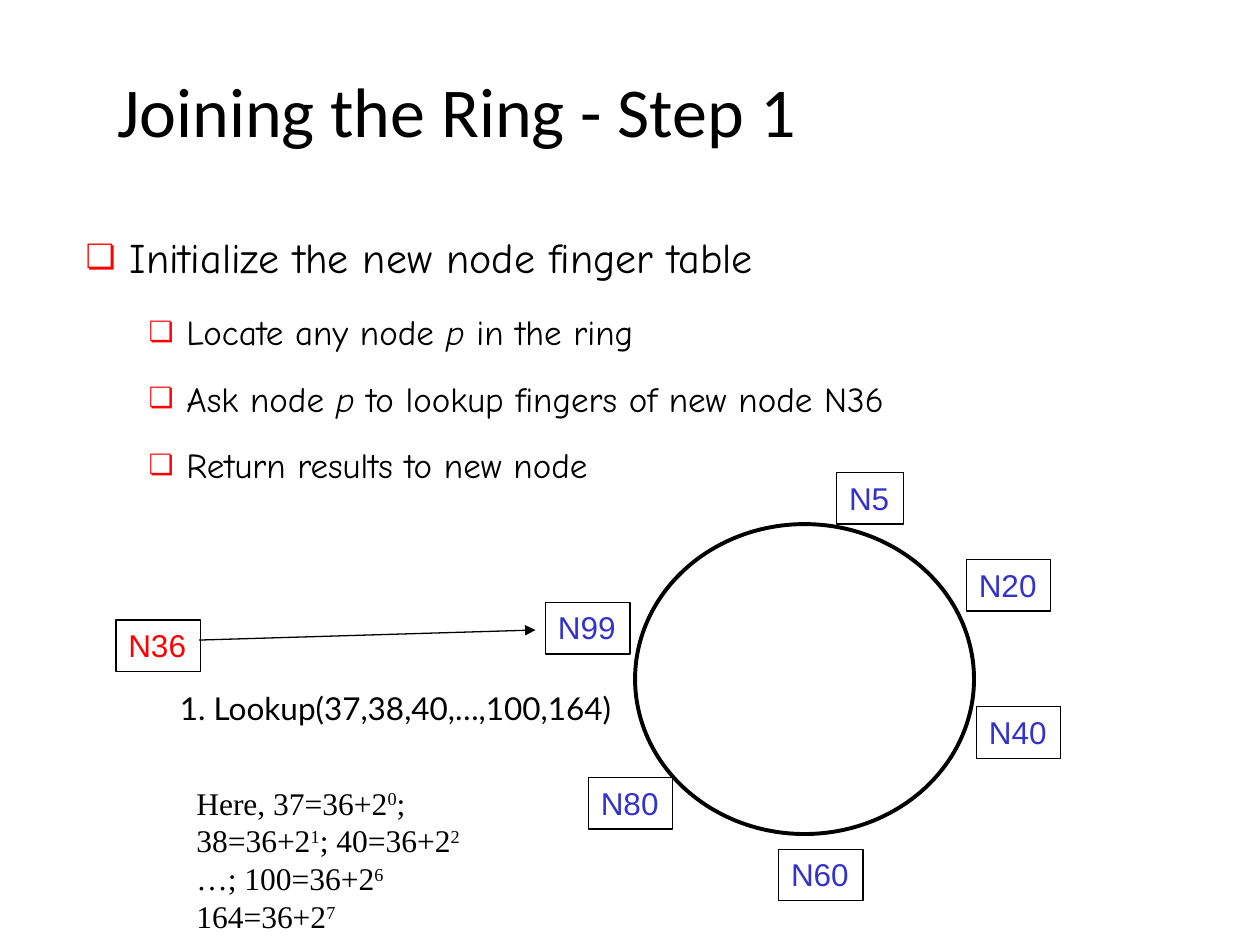
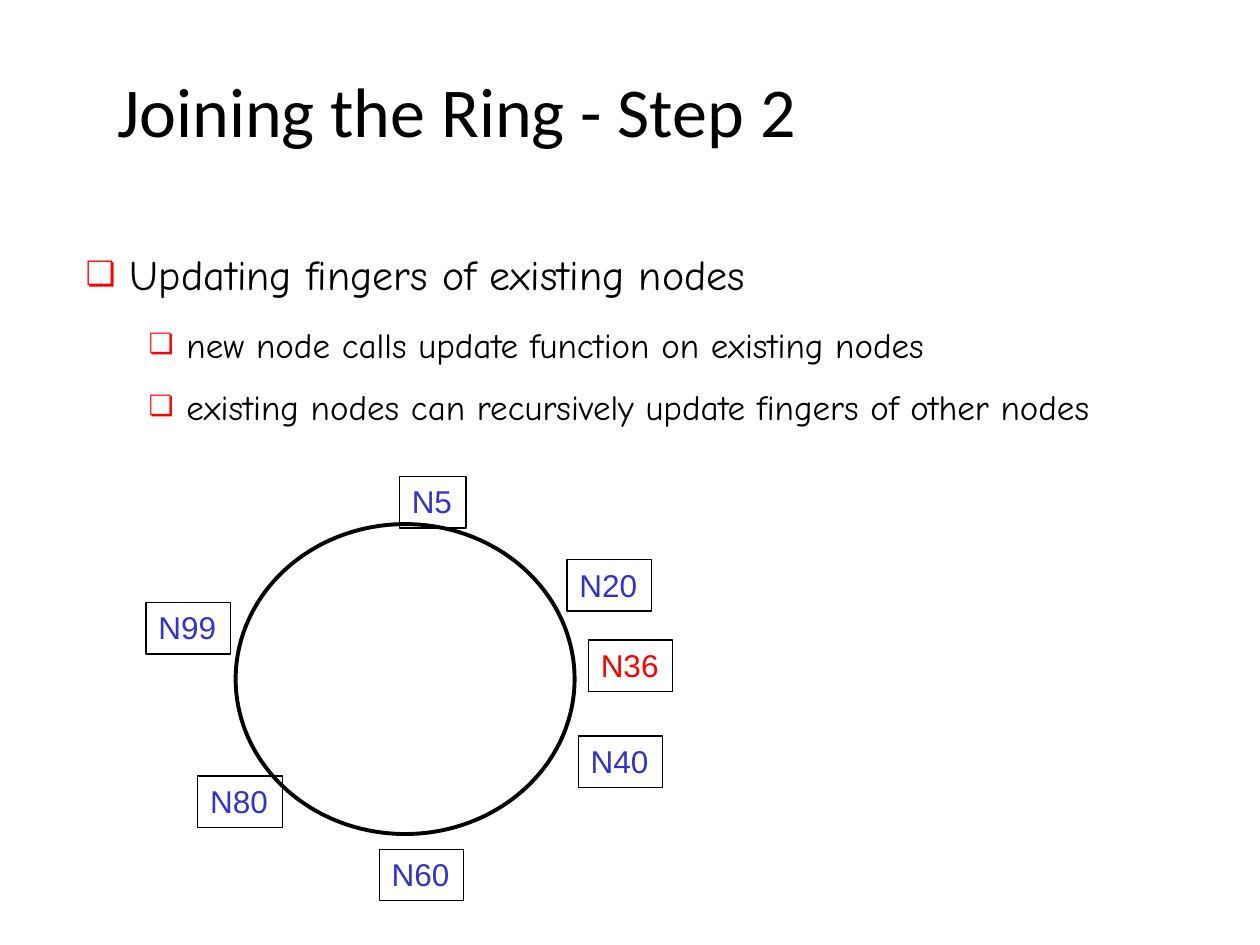
from dataclasses import dataclass
from typing import Optional

import pptx
import pptx.dml.color
import pptx.enum.shapes
import pptx.enum.text
import pptx.oxml
import pptx.oxml.ns
import pptx.presentation
import pptx.shapes.autoshape
import pptx.slide
import pptx.text.text
import pptx.util
from pptx.util import Inches

# Shared style
BLACK = pptx.dml.color.RGBColor(0x00, 0x00, 0x00)
RED = pptx.dml.color.RGBColor(0xFF, 0x00, 0x00)
BLUE = pptx.dml.color.RGBColor(0x33, 0x33, 0xCC)
TITLE_FONT, LIST_FONT, NODE_FONT = "Calibri", "Comic Neue", "Arial"
CALL_FONT, NOTE_FONT = "Lato", "Times New Roman"
LEFT = pptx.enum.text.PP_ALIGN.LEFT
MIDDLE = pptx.enum.text.MSO_ANCHOR.MIDDLE
TOP = pptx.enum.text.MSO_ANCHOR.TOP
SHAPE = pptx.enum.shapes.MSO_SHAPE

RING_TOP, RING_WIDTH, RING_HEIGHT = 4.16, 2.69, 2.46
NODE_HEIGHT = 0.41


@dataclass(frozen=True)
class Level:
    size: float
    bullet_left: float
    hanging: float
    space_after: float


LEVELS = (Level(24, 0, 0.35, 14), Level(20, 0.5, 0.3, 11.5))


@dataclass(frozen=True)
class Node:
    """A ring node; left is measured from the left edge of the ring."""
    label: str
    left: float
    top: float
    color: pptx.dml.color.RGBColor = BLUE

    @property
    def width(self) -> float:
        return 0.53 if len(self.label) == 2 else 0.67


@dataclass(frozen=True)
class Step:
    title: str
    items: tuple[str, ...]  # first is the heading; |p| marks italics
    list_top: float
    list_height: float
    line_spacing: float
    ring_left: float
    nodes: tuple[Node, ...]


# Nodes that keep their place on the ring in both steps
FIXED_NODES = (Node("N60", 1.14, 6.74), Node("N20", 2.63, 4.44), Node("N99", -0.71, 4.78))

JOIN = Step(
    "Joining the Ring - Step 1",
    ("Initialize the new node finger table",
     "Locate any node |p| in the ring",
     "Ask node |p| to lookup fingers of new node N36",
     "Return results to new node"),
    1.75, 2.87, 1.1, 5.04,
    (Node("N36", -4.12, 4.92, RED), Node("N40", 2.71, 5.61),
     Node("N5", 1.6, 3.75), Node("N80", -0.37, 6.17)))
UPDATE = Step(
    "Joining the Ring - Step 2",
    ("Updating fingers of existing nodes",
     "new node calls update function on existing nodes",
     "existing nodes can recursively update fingers of other nodes"),
    1.92, 1.7, 1.0, 1.87,
    (Node("N36", 2.8, 5.08, RED), Node("N40", 2.72, 5.84),
     Node("N5", 1.3, 3.78), Node("N80", -0.3, 6.16)))

FINGER_NOTE = ("Here, 37=36+2|0|; 38=36+2|1|; 40=36+2|2|", "…; 100=36+2|6|", "164=36+2|7|")


def place(shape: pptx.shapes.autoshape.Shape, left: float, top: float,
          width: float, height: float) -> None:
    shape.left, shape.top = Inches(left), Inches(top)
    shape.width, shape.height = Inches(width), Inches(height)


def style(font: pptx.text.text.Font, name: str, size: float,
          color: pptx.dml.color.RGBColor = BLACK) -> None:
    font.name, font.size = name, pptx.util.Pt(size)
    font.color.rgb = color


def add_marked_runs(paragraph: pptx.text.text._Paragraph, text: str, name: str,
                    size: float, superscript: bool = False) -> None:
    """Write text whose |marked| parts are superscript or italic."""
    for index, part in enumerate(text.split("|")):
        if not part:
            continue
        run = paragraph.add_run()
        run.text = part
        style(run.font, name, size)
        if index % 2 and superscript:
            run._r.get_or_add_rPr().set("baseline", "30000")
        elif index % 2:
            run.font.italic = True


def add_bullet(paragraph: pptx.text.text._Paragraph, level: Level) -> None:
    properties = paragraph._p.get_or_add_pPr()
    properties.set("marL", str(Inches(level.bullet_left + level.hanging)))
    properties.set("indent", str(-Inches(level.hanging)))
    namespace = pptx.oxml.ns.nsdecls("a")
    for xml in (f'<a:buClr {namespace}><a:srgbClr val="{RED}"/></a:buClr>',
                f'<a:buSzPct {namespace} val="80000"/>',
                f'<a:buChar {namespace} char="❏"/>'):
        properties.append(pptx.oxml.parse_xml(xml))


def fill_title(slide: pptx.slide.Slide, text: str) -> None:
    title = slide.shapes.title
    place(title, 0.83, 0.33, 8.33, 1.08)
    frame = title.text_frame
    frame.text = text
    frame.vertical_anchor = MIDDLE
    frame.auto_size = pptx.enum.text.MSO_AUTO_SIZE.NONE
    frame.paragraphs[0].alignment = LEFT
    style(frame.paragraphs[0].runs[0].font, TITLE_FONT, 40)


def fill_list(slide: pptx.slide.Slide, step: Step) -> None:
    body = slide.placeholders[1]
    place(body, 0.58, step.list_top, 8.83, step.list_height)
    frame = body.text_frame
    frame.vertical_anchor = TOP
    frame.auto_size = pptx.enum.text.MSO_AUTO_SIZE.NONE
    for index, item in enumerate(step.items):
        paragraph = frame.add_paragraph() if index else frame.paragraphs[0]
        paragraph.level = min(index, 1)
        level = LEVELS[paragraph.level]
        paragraph.line_spacing = step.line_spacing
        paragraph.space_before = pptx.util.Pt(0)
        paragraph.space_after = pptx.util.Pt(level.space_after)
        add_bullet(paragraph, level)
        add_marked_runs(paragraph, item, LIST_FONT, level.size)


def add_outline(slide: pptx.slide.Slide, kind: pptx.enum.shapes.MSO_SHAPE, left: float,
                top: float, width: float, height: float,
                weight: float) -> pptx.shapes.autoshape.Shape:
    outline = slide.shapes.add_shape(
        kind, Inches(left), Inches(top), Inches(width), Inches(height))
    outline.shadow.inherit = False
    outline.fill.background()
    outline.line.color.rgb = BLACK
    outline.line.width = pptx.util.Pt(weight)
    return outline


def add_node(slide: pptx.slide.Slide, node: Node, ring_left: float) -> None:
    box = add_outline(slide, SHAPE.RECTANGLE, ring_left + node.left, node.top,
                      node.width, NODE_HEIGHT, 0.75)
    frame = box.text_frame
    frame.text = node.label
    frame.word_wrap = False
    frame.vertical_anchor = TOP
    frame.paragraphs[0].alignment = LEFT
    style(frame.paragraphs[0].runs[0].font, NODE_FONT, 18, node.color)


def add_text_box(slide: pptx.slide.Slide, left: float, top: float, width: float,
                 height: float, lines: tuple[str, ...], font: str,
                 wrap: Optional[bool] = True) -> None:
    box = slide.shapes.add_textbox(Inches(left), Inches(top), Inches(width), Inches(height))
    frame = box.text_frame
    frame.word_wrap = wrap
    for index, line in enumerate(lines):
        paragraph = frame.add_paragraph() if index else frame.paragraphs[0]
        add_marked_runs(paragraph, line, font, 18, superscript=True)


def add_lookup_arrow(slide: pptx.slide.Slide) -> None:
    arrow = slide.shapes.add_connector(
        pptx.enum.shapes.MSO_CONNECTOR.STRAIGHT,
        Inches(1.58), Inches(5.08), Inches(4.25), Inches(5))
    arrow.line.color.rgb = BLACK
    arrow.line.width = pptx.util.Pt(0.75)
    namespace = pptx.oxml.ns.nsdecls("a")
    arrow.line._get_or_add_ln().append(
        pptx.oxml.parse_xml(f'<a:tailEnd {namespace} type="triangle"/>'))
    arrow._element.spPr.append(pptx.oxml.parse_xml(f"<a:effectLst {namespace}/>"))


def add_step(deck: pptx.presentation.Presentation, step: Step) -> pptx.slide.Slide:
    slide = deck.slides.add_slide(deck.slide_layouts[1])
    fill_title(slide, step.title)
    fill_list(slide, step)
    add_outline(slide, SHAPE.OVAL, step.ring_left, RING_TOP, RING_WIDTH, RING_HEIGHT, 2.25)
    for node in FIXED_NODES + step.nodes:
        add_node(slide, node, step.ring_left)
    return slide


def main() -> None:
    deck = pptx.Presentation()
    deck.slide_width, deck.slide_height = Inches(10), Inches(7.5)

    # Step 1: the new node asks the ring for its fingers
    join = add_step(deck, JOIN)
    add_lookup_arrow(join)
    add_text_box(join, 1.33, 5.42, 3.72, 0.4,
                 ("1. Lookup(37,38,40,…,100,164)",), CALL_FONT, wrap=False)
    add_text_box(join, 1.46, 6.17, 2.61, 1.31, FINGER_NOTE, NOTE_FONT)

    # Step 2: the new node is part of the ring
    add_step(deck, UPDATE)

    deck.save("out.pptx")


if __name__ == "__main__":
    main()
